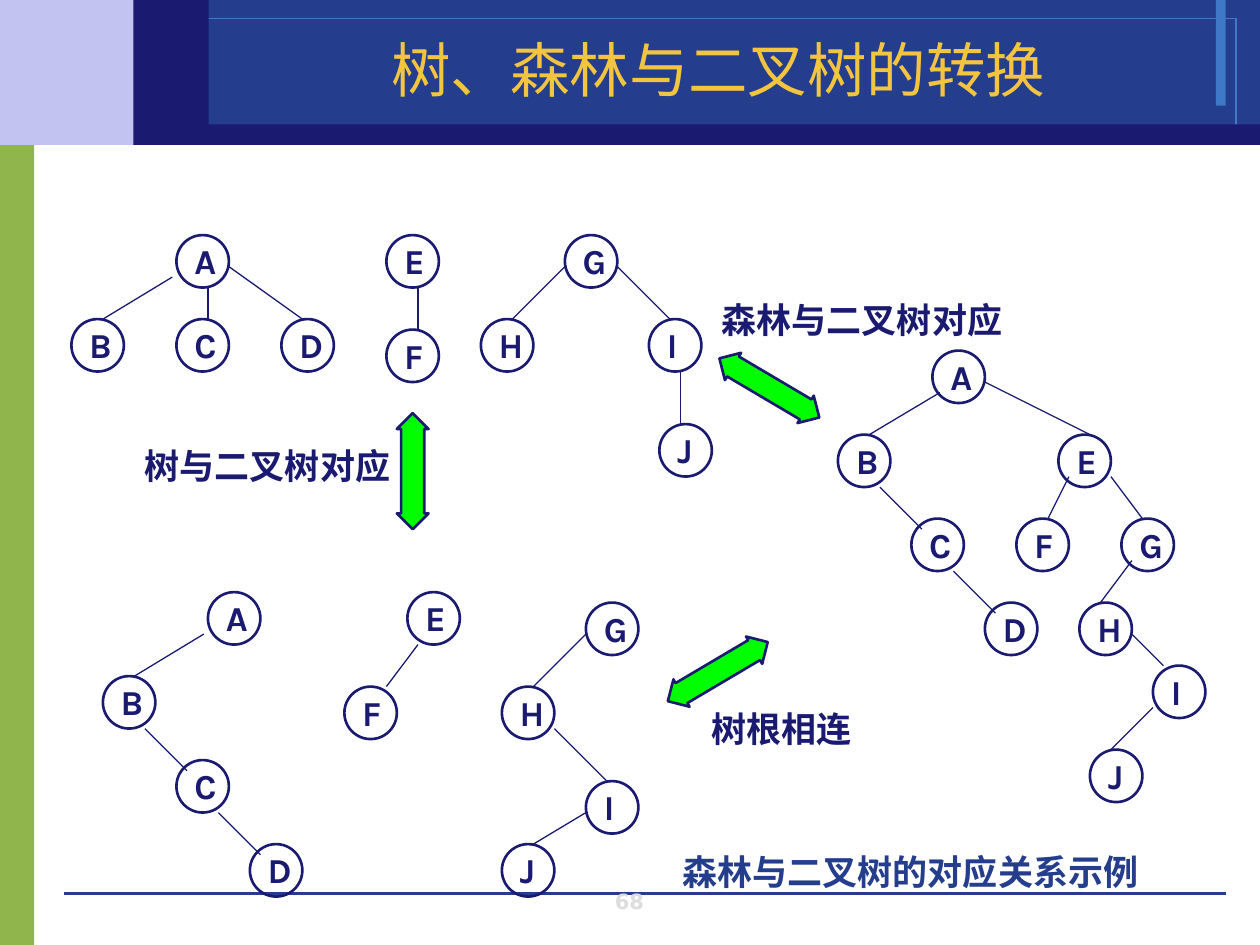
from lxml import etree
from pptx import Presentation
from pptx.dml.color import RGBColor
from pptx.enum.shapes import MSO_CONNECTOR, MSO_SHAPE
from pptx.enum.text import MSO_ANCHOR, MSO_AUTO_SIZE, PP_ALIGN
from pptx.oxml.ns import qn
from pptx.util import Cm, Pt

RECTANGLE, OVAL = MSO_SHAPE.RECTANGLE, MSO_SHAPE.OVAL
DOUBLE_ARROW = MSO_SHAPE.UP_DOWN_ARROW
STRAIGHT = MSO_CONNECTOR.STRAIGHT
TOP, BOTTOM = MSO_ANCHOR.TOP, MSO_ANCHOR.BOTTOM
LEFT, CENTER = PP_ALIGN.LEFT, PP_ALIGN.CENTER
FIT = MSO_AUTO_SIZE.SHAPE_TO_FIT_TEXT

COLORS = {
    "navy": "1A1A70", "blue": "243D8C", "sky": "3E78C6", "lilac": "C3C3F1",
    "olive": "90B54D", "gold": "F3C43F", "gray": "DDDDDD", "green": "00FF00",
}

# Frame of the page: left, top, width, height in cm, fill, outline
FRAME = [
    ((0, 2.72, 0.69, 16.33), "olive", None),
    ((0, 0, 3.89, 2.92), "lilac", None),
    ((3.89, 0, 21.51, 2.92), "blue", None),
    ((24.51, 0, 0.2, 2.13), "sky", None),
    ((3.02, 0.38, 21.9, 2.16), None, "sky"),
    ((3.3, 2.51, 22.1, 0.41), "navy", None),
    ((2.69, 0, 1.52, 2.92), "navy", None),
]
FOOT_LINE = (1.3, 18.01, 24.71, 18.01)

# Trees on a grid of 1/12 inch: corner of each node, ends of each edge
UNIT = 2.54 / 12
GRID_LEFT, GRID_TOP = 1.44, 4.74
NODE_SIZE = 5 * UNIT
FOREST = {
    "nodes": [("E", 30, 0), ("F", 30, 9), ("A", 10, 0), ("B", 0, 8), ("C", 10, 8),
              ("D", 20, 8), ("G", 47, 0), ("H", 39, 8), ("I", 55, 8), ("J", 56, 18)],
    "edges": [(33, 5, 33, 9), (9.6, 4, 3, 8), (15, 3, 22, 8), (13, 5, 13, 8),
              (47, 3, 42, 8), (52, 3, 57, 8), (58, 13, 58, 18)],
}
BINARY_TREES = {
    "nodes": [("A", 13, 34), ("B", 3, 42), ("C", 10, 50), ("D", 17, 58), ("E", 32, 34),
              ("F", 26, 43), ("G", 49, 35), ("H", 41, 43), ("I", 49, 52), ("J", 41, 58)],
    "edges": [(12.6, 38, 6, 42), (7, 47, 11, 51), (14, 55, 18, 59), (33, 39, 30, 43),
              (49, 38, 44, 43), (46, 47, 51, 52), (49, 55, 44, 58)],
}
JOINED_TREE = {
    "nodes": [("A", 82, 11), ("B", 73, 19), ("C", 80, 27), ("D", 87, 35), ("E", 94, 19),
              ("F", 90, 27), ("G", 100, 27), ("H", 96, 35), ("I", 103, 41), ("J", 97, 49)],
    "edges": [(82.7, 15, 76, 19), (77, 24, 81, 28), (84, 32, 88, 36), (95, 23, 93, 27),
              (101, 31, 98, 35), (101, 38, 104, 41), (103, 45, 99, 49),
              (99, 23, 102, 27), (87, 14, 97, 19)],
}

# Double arrows: left, top, rotation, then caption and its box
ARROW_SIZE = (0.64, 2.34)
ARROWS = [
    (8, 8.33, 0, "树与二叉树对应", (2.92, 8.97, 4.98, 0.84)),
    (15.19, 6.65, 300.6, "森林与二叉树对应", (14.55, 6.02, 5.69, 0.84)),
    (14.15, 12.37, 59.4, "树根相连", (14.35, 14.27, 2.84, 0.84)),
]

TITLE_FONT = {"size": Pt(34), "name": "DejaVu Sans"}
NUMBER_FONT = {"size": Pt(12), "name": "DejaVu Sans", "bold": True}
LABEL_FONT = {"size": Pt(20), "name": "Karla", "bold": True}


def paint(shape, fill=None, outline=None, width=0):
    shape.shadow.inherit = False
    if fill:
        shape.fill.solid()
        shape.fill.fore_color.rgb = RGBColor.from_string(COLORS[fill])
    else:
        shape.fill.background()
    if outline:
        shape.line.color.rgb = RGBColor.from_string(COLORS[outline])
        shape.line.width = Pt(width)
    else:
        shape.line.fill.background()


def add_line(shapes, ends, color, width):
    line = shapes.add_connector(STRAIGHT, *map(Cm, ends))
    line.line.color.rgb = RGBColor.from_string(COLORS[color])
    line.line.width = Pt(width)
    etree.SubElement(line._element.spPr, qn("a:effectLst"))


def add_text(shapes, text, place, font, color, align=LEFT, spacing=None,
             inset=True, **frame_format):
    box = shapes.add_textbox(*map(Cm, place))
    frame = box.text_frame
    settings = {"word_wrap": True, "vertical_anchor": TOP, **frame_format}
    if not inset:
        settings.update({f"margin_{side}": 0 for side in ("left", "top", "right", "bottom")})
    for name, value in settings.items():
        setattr(frame, name, value)
    para = frame.paragraphs[0]
    para.alignment = align
    if spacing:
        para.line_spacing = spacing
    span = para.add_run()
    span.text = text
    for name, value in font.items():
        setattr(span.font, name, value)
    span.font.color.rgb = RGBColor.from_string(COLORS[color])


def add_trees(page, trees):
    shapes = page.shapes.add_group_shape().shapes
    for x1, y1, x2, y2 in trees["edges"]:
        ends = (GRID_LEFT + x1 * UNIT, GRID_TOP + y1 * UNIT,
                GRID_LEFT + x2 * UNIT, GRID_TOP + y2 * UNIT)
        add_line(shapes, ends, "navy", 0.75)
    for letter, column, row in trees["nodes"]:
        left, top = GRID_LEFT + column * UNIT, GRID_TOP + row * UNIT
        add_text(shapes, letter, (left + 0.36, top + 0.26, 0.56, 0.69), LABEL_FONT,
                 "navy", spacing=0.8, inset=False, auto_size=FIT)
        circle = shapes.add_shape(OVAL, *map(Cm, (left, top, NODE_SIZE, NODE_SIZE)))
        paint(circle, outline="navy", width=1.5)


def main():
    deck = Presentation()
    deck.slide_width, deck.slide_height = Cm(25.4), Cm(19.05)
    page = deck.slides.add_slide(deck.slide_layouts[6])

    # Frame, title and page number
    for place, fill, outline in FRAME:
        paint(page.shapes.add_shape(RECTANGLE, *map(Cm, place)), fill, outline)
    add_line(page.shapes, FOOT_LINE, "blue", 0)
    add_text(page.shapes, "68", (9.73, 17.91, 5.92, 0.64), NUMBER_FONT, "gray",
             CENTER, vertical_anchor=BOTTOM)
    add_text(page.shapes, "树、森林与二叉树的转换", (3.56, 0.66, 21.84, 1.57),
             TITLE_FONT, "gold", CENTER, vertical_anchor=BOTTOM)

    # Trees
    for trees in (FOREST, BINARY_TREES, JOINED_TREE):
        add_trees(page, trees)

    # Arrows with captions
    for left, top, rotation, caption, place in ARROWS:
        shapes = page.shapes.add_group_shape().shapes
        arrow = shapes.add_shape(DOUBLE_ARROW, *map(Cm, (left, top, *ARROW_SIZE)))
        arrow.adjustments[0], arrow.adjustments[1] = 0.5, 0.73
        arrow.rotation = rotation
        paint(arrow, "green", "navy", 1.5)
        add_text(shapes, caption, place, LABEL_FONT, "navy", inset=False,
                 word_wrap=False, auto_size=FIT)

    # Caption of the whole figure
    add_text(page.shapes, "森林与二叉树的对应关系示例", (13.51, 17.02, 9.96, 1.09),
             LABEL_FONT, "blue", auto_size=FIT)
    deck.save("out.pptx")


if __name__ == "__main__":
    main()
